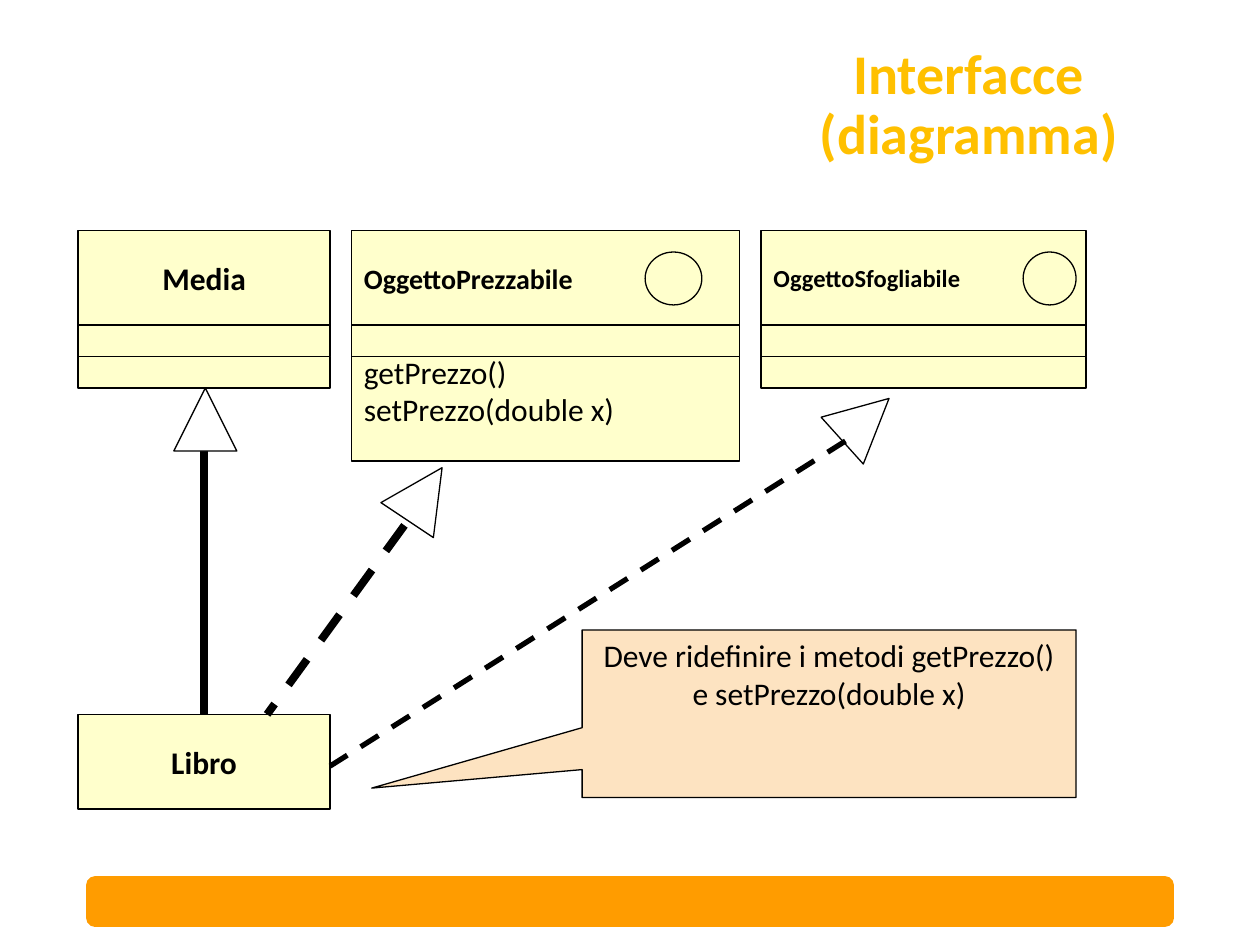
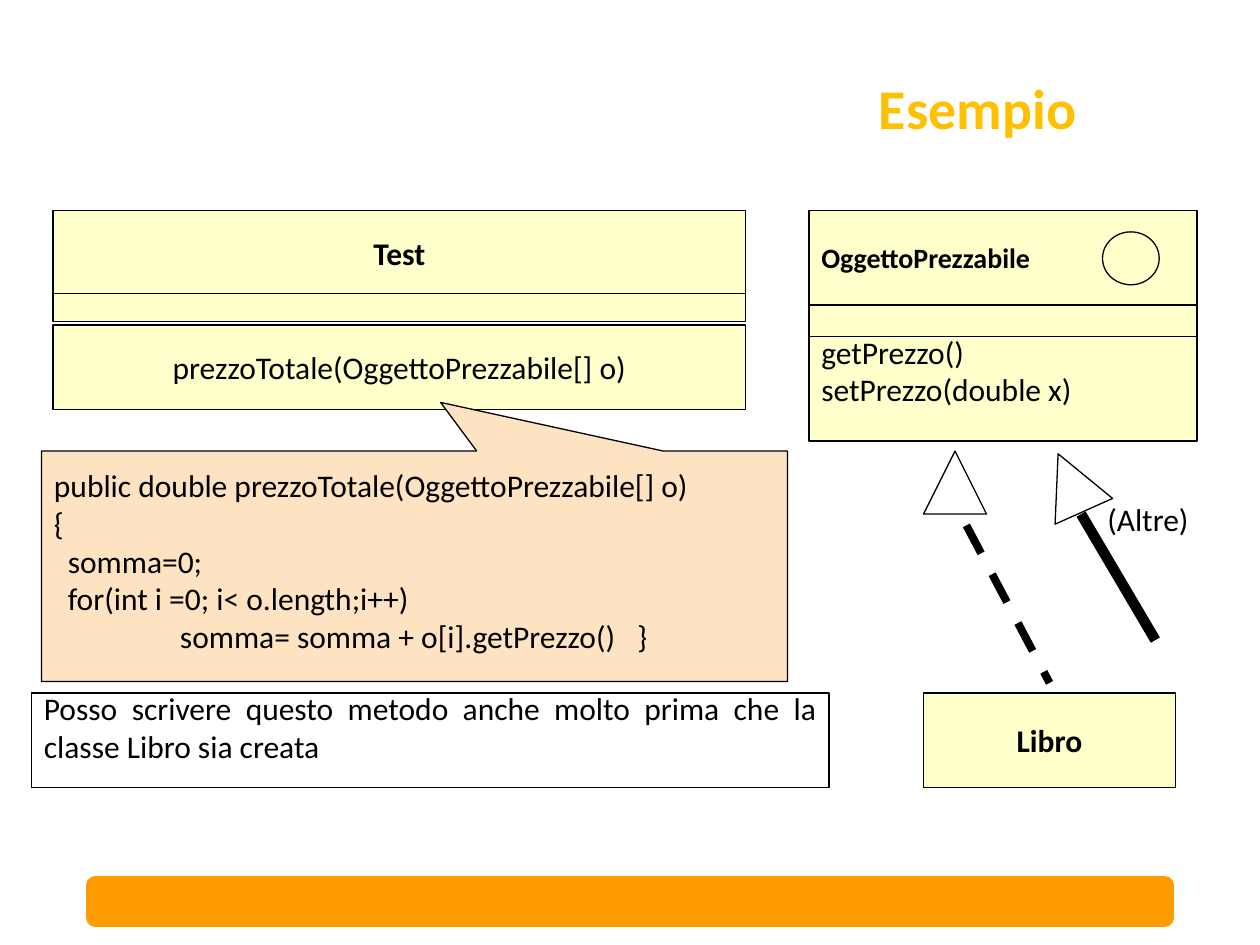
"""Builds two slides on interfaces: a class diagram and an example of use."""
from lxml import etree
from pptx import Presentation
from pptx.dml.color import RGBColor
from pptx.enum.dml import MSO_LINE
from pptx.enum.shapes import MSO_CONNECTOR, MSO_SHAPE
from pptx.enum.text import MSO_ANCHOR, MSO_AUTO_SIZE, PP_ALIGN
from pptx.oxml.ns import qn
from pptx.util import Inches, Pt

BLACK = RGBColor(0x00, 0x00, 0x00)
WHITE = RGBColor(0xFF, 0xFF, 0xFF)
GOLD = RGBColor(0xFF, 0xC0, 0x00)
ORANGE = RGBColor(0xFF, 0x9C, 0x00)
CREAM = RGBColor(0xFF, 0xFF, 0xCC)
PEACH = RGBColor(0xFD, 0xE3, 0xC1)

FONT = "Calibri"
RECTANGLE = MSO_SHAPE.RECTANGLE
ROUNDED = MSO_SHAPE.ROUNDED_RECTANGLE
ELLIPSE = MSO_SHAPE.OVAL
TRIANGLE = MSO_SHAPE.ISOSCELES_TRIANGLE
CALLOUT = MSO_SHAPE.RECTANGULAR_CALLOUT
STRAIGHT = MSO_CONNECTOR.STRAIGHT
DASH = MSO_LINE.DASH
LEFT, CENTER, JUSTIFY = PP_ALIGN.LEFT, PP_ALIGN.CENTER, PP_ALIGN.JUSTIFY
TOP, MIDDLE = MSO_ANCHOR.TOP, MSO_ANCHOR.MIDDLE
NO_AUTOFIT = MSO_AUTO_SIZE.NONE

HEADER_HEIGHT = 0.75
ROW_HEIGHT = 0.25
METHODS_HEIGHT = 0.83
CLASS_WIDTH = 2
PRICED_WIDTH = 3.08
HEAD_SIZE = 0.5
CODE_TABS = (1, 4.63)


def inches(*values):
    """Convert several numbers to lengths."""
    return [Inches(value) for value in values]


def write(shape, lines, size=18, bold=False, color=BLACK, align=LEFT, anchor=TOP):
    """Set the text of a shape, one paragraph a line, and format it."""
    frame = shape.text_frame
    frame.word_wrap = True
    frame.auto_size = NO_AUTOFIT
    frame.vertical_anchor = anchor
    frame.text = "\n".join(lines)
    for paragraph in frame.paragraphs:
        paragraph.alignment = align
        for run in paragraph.runs:
            run.font.name = FONT
            run.font.size = Pt(size)
            run.font.bold = bold
            run.font.color.rgb = color


def add_box(slide, kind, left, top, width, height, fill=CREAM, line=BLACK, weight=0.75):
    """Add a filled and outlined preset shape."""
    shape = slide.shapes.add_shape(kind, *inches(left, top, width, height))
    shape.shadow.inherit = False
    shape.fill.solid()
    shape.fill.fore_color.rgb = fill
    shape.line.color.rgb = line
    shape.line.width = Pt(weight)
    return shape


def add_text(slide, left, top, width, height, lines, align=LEFT):
    """Add a plain text box."""
    box = slide.shapes.add_textbox(*inches(left, top, width, height))
    write(box, lines, align=align)
    return box


def add_line(slide, start, end, weight=4.5, dash=None):
    """Add a straight black line between two points."""
    line = slide.shapes.add_connector(STRAIGHT, *inches(*start, *end))
    line.line.color.rgb = BLACK
    line.line.width = Pt(weight)
    line.line.dash_style = dash
    etree.SubElement(line.element.spPr, qn("a:effectLst"))


def add_head(slide, left, top, rotation=0):
    """Add the hollow triangle that ends an inheritance line."""
    head = add_box(slide, TRIANGLE, left, top, HEAD_SIZE, HEAD_SIZE, WHITE)
    head.rotation = rotation


def add_callout(slide, left, top, width, height, tip):
    """Add a callout whose tip is given relative to its centre."""
    callout = add_box(slide, CALLOUT, left, top, width, height, PEACH)
    callout.adjustments[0], callout.adjustments[1] = tip
    return callout


def add_class(slide, left, top, width, name, rows=(), size=18, align=CENTER):
    """Add a class: a header with its name and empty rows below it."""
    header = add_box(slide, RECTANGLE, left, top, width, HEADER_HEIGHT)
    write(header, [name], size, True, align=align, anchor=MIDDLE)
    row_top = top + HEADER_HEIGHT
    for height in rows:
        add_box(slide, RECTANGLE, left, row_top, width, height)
        row_top += height


def add_priced_interface(slide, left, top):
    """Add the OggettoPrezzabile interface with its circle and methods."""
    add_class(slide, left, top, PRICED_WIDTH, "OggettoPrezzabile",
              (ROW_HEIGHT, METHODS_HEIGHT), 16, LEFT)
    add_box(slide, ELLIPSE, left + 2.33, top + 0.17, 0.45, 0.42)
    add_text(slide, left, top + 0.92, 3.1, 0.9, ["getPrezzo()", "setPrezzo(double x)"])


def add_code(slide, left, top, width, height):
    """Add the method body with indents and tab stops."""
    box = add_text(slide, left, top, width, height, [
        "public double prezzoTotale(OggettoPrezzabile[] o)",
        "{",
        "somma=0;",
        "for(int i =0; i< o.length;i++)",
        "\tsomma= somma + o[i].getPrezzo()\t}",
    ], JUSTIFY)
    paragraphs = box.text_frame.paragraphs
    for paragraph in paragraphs[2:4]:
        paragraph._p.get_or_add_pPr().set("marL", str(Inches(0.11)))
    tabs = etree.SubElement(paragraphs[4]._p.get_or_add_pPr(), qn("a:tabLst"))
    for position in CODE_TABS:
        etree.SubElement(tabs, qn("a:tab"), pos=str(Inches(position)), algn="l")


def add_slide(presentation, title, left, top):
    """Add a slide with the shared title style."""
    slide = presentation.slides.add_slide(presentation.slide_layouts[5])
    shape = slide.shapes.title
    shape.left, shape.top, shape.width, shape.height = inches(left, top, 3.88, 1.39)
    write(shape, [title], 32, True, GOLD, CENTER, MIDDLE)
    shape.text_frame.paragraphs[0].line_spacing = 0.9
    return slide


def move_band_to_layout(slide):
    """Draw the footer band and hand it to the layout that all slides share."""
    band = add_box(slide, ROUNDED, 0.69, 6.96, 8.62, 0.39, ORANGE, ORANGE, 1)
    slide.slide_layout.shapes.element.append(band.element)


def build_diagram(slide):
    """Fill the class diagram slide."""
    top = 1.83
    add_class(slide, 0.62, top, CLASS_WIDTH, "Media", (ROW_HEIGHT, ROW_HEIGHT))
    add_class(slide, 0.62, 5.67, CLASS_WIDTH, "Libro")
    add_line(slide, (1.62, 5.67), (1.62, 3.58))
    add_head(slide, 1.38, 3.08)
    add_priced_interface(slide, 2.79, top)
    add_class(slide, 6.04, top, 2.58, "OggettoSfogliabile",
              (ROW_HEIGHT, ROW_HEIGHT), 14, LEFT)
    add_box(slide, ELLIPSE, 8.12, top + 0.17, 0.42, 0.42)
    add_head(slide, 3.12, 3.67, 33.7)
    add_head(slide, 6.62, 3.08, 48)
    add_line(slide, (3.21, 4.17), (2.12, 5.67), dash=DASH)
    add_line(slide, (6.71, 3.5), (2.62, 6.08), 3, DASH)
    note = add_callout(slide, 4.62, 5, 3.92, 1.33, (-0.926, 0.444))
    write(note, ["Deve ridefinire i metodi getPrezzo() e setPrezzo(double x)"], align=CENTER)


def build_example(slide):
    """Fill the example slide."""
    header, _, method = [
        add_box(slide, RECTANGLE, 0.42, top, 5.5, height)
        for top, height in ((1.67, 0.67), (2.33, 0.22), (2.58, 0.67))
    ]
    write(header, ["Test"], bold=True, align=CENTER, anchor=MIDDLE)
    write(method, ["prezzoTotale(OggettoPrezzabile[] o)"], align=CENTER, anchor=MIDDLE)
    add_class(slide, 7.33, 5.5, CLASS_WIDTH, "Libro")
    add_priced_interface(slide, 6.42, 1.67)
    add_head(slide, 7.33, 3.58)
    add_line(slide, (7.67, 4.17), (8.33, 5.42), dash=DASH)
    add_callout(slide, 0.33, 3.58, 5.92, 1.83, (0.035, -0.711))
    add_code(slide, 0.33, 3.65, 5.92, 1.6)
    add_box(slide, RECTANGLE, 0.25, 5.5, 6.33, 0.75, WHITE)
    add_text(slide, 0.25, 5.42, 6.33, 0.9, [
        "Posso scrivere questo metodo anche molto prima che la classe Libro sia creata",
    ], JUSTIFY)
    add_head(slide, 8.25, 3.58, 335.9)
    add_line(slide, (8.58, 4.08), (9.17, 5.08), 6)
    add_text(slide, 8.69, 3.92, 1.14, 0.5, ["(Altre)"])


def main():
    """Build and save the presentation."""
    presentation = Presentation()
    presentation.slide_width, presentation.slide_height = inches(10, 7.5)
    diagram = add_slide(presentation, "Interfacce (diagramma)", 5.75, 0.15)
    move_band_to_layout(diagram)
    build_diagram(diagram)
    build_example(add_slide(presentation, "Esempio", 5.82, 0.19))
    presentation.save("out.pptx")


main()
